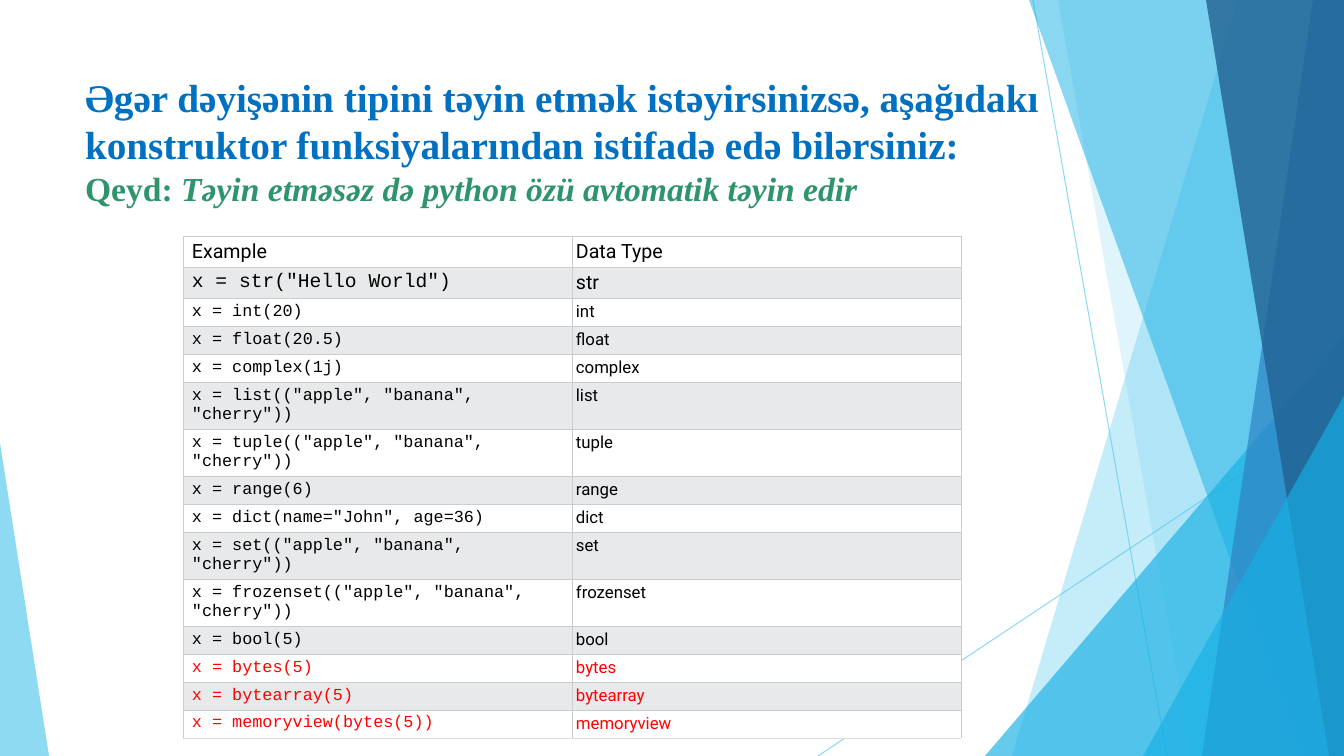
from copy import deepcopy

from lxml import etree
from pptx import Presentation
from pptx.dml.color import RGBColor
from pptx.enum.shapes import MSO_CONNECTOR, MSO_SHAPE
from pptx.enum.text import MSO_ANCHOR, MSO_AUTO_SIZE, PP_ALIGN
from pptx.oxml.ns import qn
from pptx.util import Emu, Pt

STRAIGHT = MSO_CONNECTOR.STRAIGHT
TRIANGLE = MSO_SHAPE.ISOSCELES_TRIANGLE
LEFT, MIDDLE, NO_FIT = PP_ALIGN.LEFT, MSO_ANCHOR.MIDDLE, MSO_AUTO_SIZE.NONE

W, H = 1344, 756
COLORS = {
    "sky": "5FCBEF", "cyan": "17B0E4", "blue": "2E83C3", "navy": "226292",
    "title": "0070C0", "note": "2E946B", "text": "000000", "red": "FF0000",
    "white": "FFFFFF", "band": "E7E9EB", "grid": "CCCCCC", "last": "DDDDDD",
}
SERIF, SANS, MONO = "Times New Roman", "Roboto", "Courier New"

FRUITS = '(("apple", "banana", "cherry"))'
ROWS = [
    ("Example", "Data Type"),
    ('x = str("Hello World")', "str"),
    ("x = int(20)", "int"),
    ("x = float(20.5)", "float"),
    ("x = complex(1j)", "complex"),
    ("x = list" + FRUITS, "list"),
    ("x = tuple" + FRUITS, "tuple"),
    ("x = range(6)", "range"),
    ('x = dict(name="John", age=36)', "dict"),
    ("x = set" + FRUITS, "set"),
    ("x = frozenset" + FRUITS, "frozenset"),
    ("x = bool(5)", "bool"),
    ("x = bytes(5)", "bytes"),
    ("x = bytearray(5)", "bytearray"),
    ("x = memoryview(bytes(5))", "memoryview"),
]
RED_FROM = 12


def px(n):
    return Emu(round(n * 914400 / 100.8))


def rgb(name):
    return RGBColor.from_string(COLORS[name])


def set_alpha(shape, percent):
    color = next(shape.element.spPr.iter(qn("a:srgbClr")))
    etree.SubElement(color, qn("a:alpha"), val=str(percent * 1000))


def paint(shape, color, alpha):
    shape.shadow.inherit = False
    shape.fill.solid()
    shape.fill.fore_color.rgb = rgb(color)
    set_alpha(shape, alpha)
    shape.line.fill.background()


def add_run(p, text, font, size, color, bold=False, italic=False):
    r = p.add_run()
    r.text = text
    r.font.name, r.font.size = font, Pt(size)
    r.font.bold, r.font.italic = bold, italic
    r.font.color.rgb = rgb(color)
    return r


def add_thin_line(s, x1, y1, x2, y2):
    line = s.shapes.add_connector(STRAIGHT, px(x1), px(y1), px(x2), px(y2))
    line.line.color.rgb = rgb("sky")
    line.line.width = Pt(0.75)
    set_alpha(line, 70)
    etree.SubElement(line.element.spPr, qn("a:effectLst"))


def add_band(s, top_x, bottom_x, right, height, color, alpha):
    """Slanted left edge, filled out to the right edge."""
    fb = s.shapes.build_freeform(px(top_x), px(0), scale=1.0)
    corners = [(right, 0), (right, height), (bottom_x, height)]
    fb.add_line_segments([(px(x), px(y)) for x, y in corners], close=True)
    paint(fb.convert_to_shape(), color, alpha)


def add_triangle(s, x, y, w, h, apex, color, alpha):
    sp = s.shapes.add_shape(TRIANGLE, px(x), px(y), px(w), px(h))
    sp.adjustments[0] = apex
    paint(sp, color, alpha)


def add_facets(s, x, w, h):
    """Layered facets along the right side, from back to front."""
    right = x + w
    add_thin_line(s, x + 48, 0, x + 182, h)
    add_thin_line(s, right, 406, x - 167, h)
    add_band(s, x + 253, x + 27, right, h, "sky", 36)
    add_band(s, x + 73, x + 207, right, h, "sky", 20)
    add_triangle(s, x, 336, w, h - 336, 1, "cyan", 66)
    add_band(s, x + 44, x + 316, right, h, "cyan", 50)
    add_band(s, x + 328, x + 217, right, h, "blue", 70)
    add_band(s, x + 221, x + 344, right, h, "navy", 80)
    add_triangle(s, x + 158, 396, w - 158, h - 396, 1, "cyan", 66)


def add_title(s, x, y, w, h):
    title = s.shapes.title
    title.left, title.top, title.width, title.height = map(px, (x, y, w, h))
    s.shapes.element.append(title.element)  # in front of the facets
    tf = title.text_frame
    tf.word_wrap, tf.auto_size, tf.vertical_anchor = True, NO_FIT, MIDDLE
    p = tf.paragraphs[0]
    p.alignment = LEFT
    r = add_run(p, "Əgər dəyişənin tipini təyin etmək istəyirsinizsə, aşağıdakı "
                "konstruktor funksiyalarından istifadə edə bilərsiniz:",
                SERIF, 28, "title", bold=True)
    p.add_line_break()
    # The break takes the run's format, so it does not raise the line height
    r._r.getnext().append(deepcopy(r._r.find(qn("a:rPr"))))
    add_run(p, "Qeyd: ", SERIF, 24, "note", bold=True)
    add_run(p, "Təyin etməsəz də python özü avtomatik təyin edir",
            SERIF, 24, "note", bold=True, italic=True)


def add_borders(cell, bottom):
    tcPr = cell._tc.get_or_add_tcPr()
    for side in "LRTB":
        ln = etree.SubElement(tcPr, qn("a:ln" + side), w=str(int(Pt(0.75))))
        fill = etree.SubElement(ln, qn("a:solidFill"))
        color = bottom if side == "B" else "grid"
        etree.SubElement(fill, qn("a:srgbClr"), val=COLORS[color])


def row_height(i):
    if i < 2:
        return 31
    return 47 if FRUITS in ROWS[i][0] else 28


def add_types_table(s, x, y, w):
    heights = [row_height(i) for i in range(len(ROWS))]
    frame = s.shapes.add_table(len(ROWS), 2, px(x), px(y), px(w), px(sum(heights)))
    table = frame.table
    table.first_row = table.horz_banding = False
    for col in table.columns:
        col.width = px(w / 2)
    for i, texts in enumerate(ROWS):
        table.rows[i].height = px(heights[i])
        for j, text in enumerate(texts):
            cell = table.cell(i, j)
            add_borders(cell, "last" if i == len(ROWS) - 1 else "grid")
            cell.fill.solid()
            cell.fill.fore_color.rgb = rgb("band" if i % 2 else "white")
            cell.margin_left = px(4 if j else 9)
            cell.margin_right = cell.margin_top = cell.margin_bottom = px(4)
            add_run(cell.text_frame.paragraphs[0], text,
                    MONO if i and not j else SANS, 14 if i < 2 else 12,
                    "red" if i >= RED_FROM else "text")


prs = Presentation()
prs.slide_width, prs.slide_height = px(W), px(H)
s = prs.slides.add_slide(prs.slide_layouts[5])

add_facets(s, 985, W - 985, H)
add_triangle(s, 0, 443, 49, H - 443, 0, "sky", 70)
add_title(s, 75, 68, 1093, 145)
add_types_table(s, 183, 236, 778)

prs.save("out.pptx")
